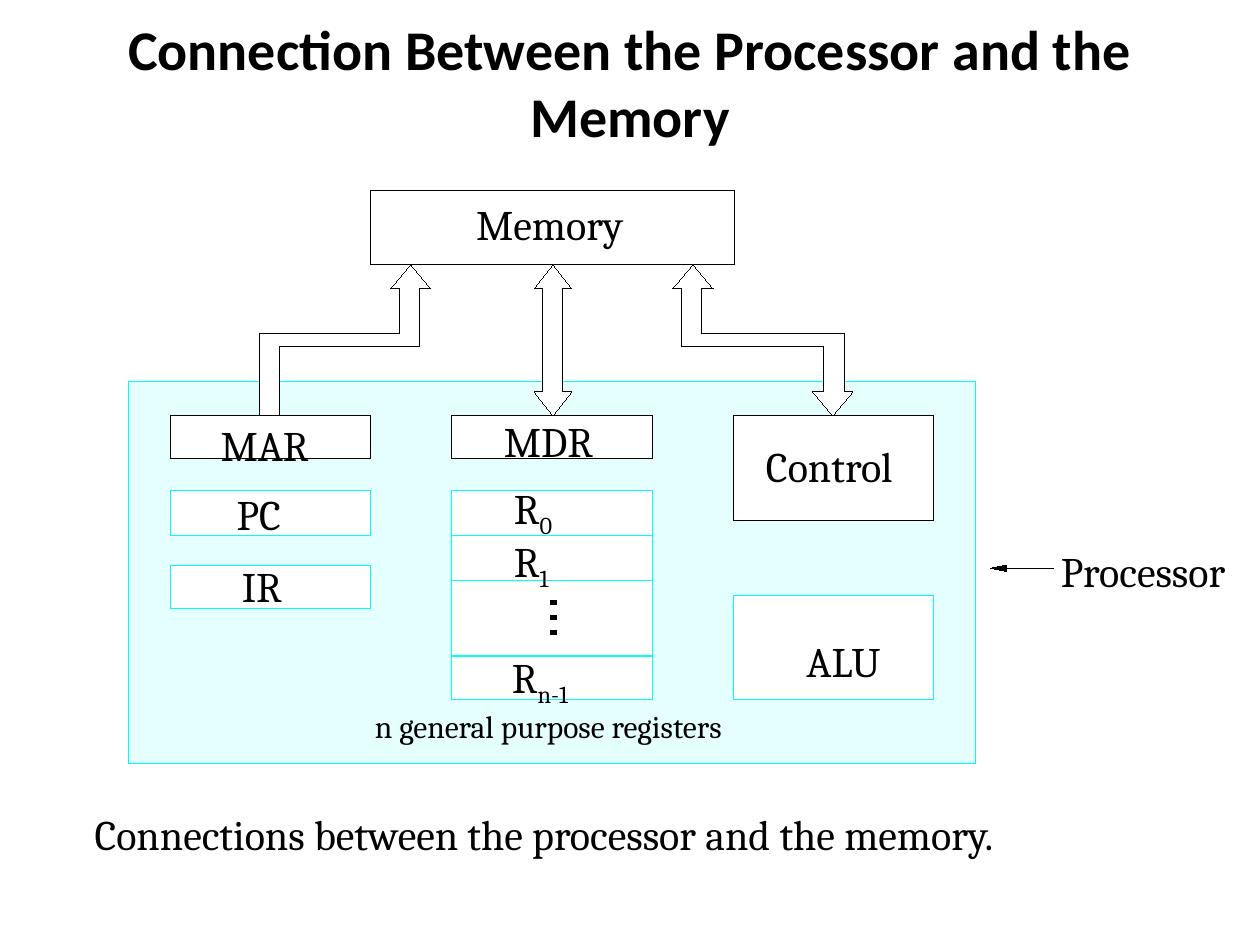
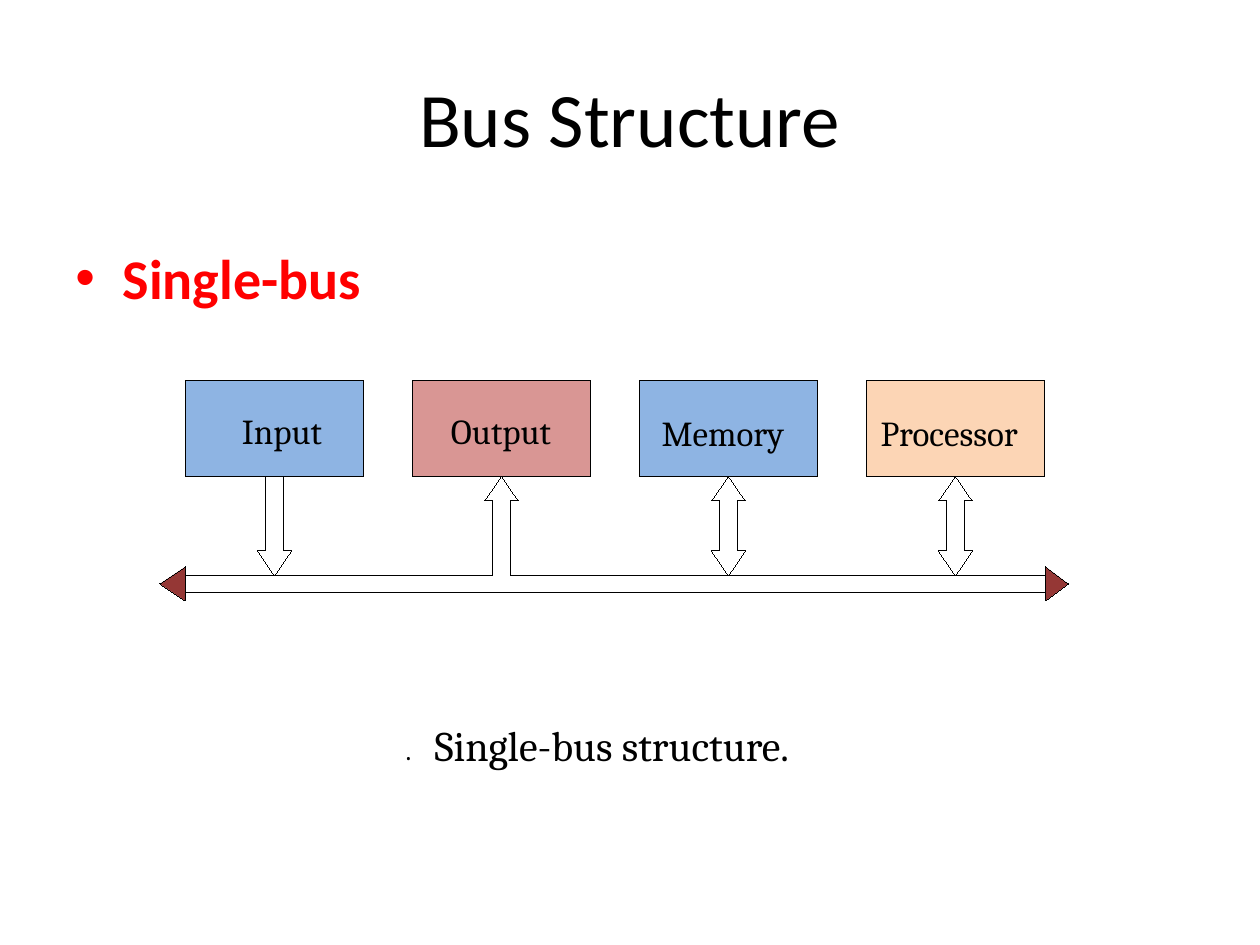
from lxml import etree
from pptx import Presentation
from pptx.dml.color import RGBColor
from pptx.enum.shapes import MSO_CONNECTOR, MSO_SHAPE as Preset
from pptx.enum.text import MSO_ANCHOR, MSO_AUTO_SIZE as AutoSize, PP_ALIGN
from pptx.oxml.ns import qn
from pptx.util import Pt

BLACK = RGBColor(0x00, 0x00, 0x00)
WHITE = RGBColor(0xFF, 0xFF, 0xFF)
CYAN = RGBColor(0x00, 0xFF, 0xFF)
PALE_CYAN = RGBColor(0xE5, 0xFF, 0xFF)
RED = RGBColor(0xFF, 0x00, 0x00)
BLUE = RGBColor(0x8E, 0xB4, 0xE3)
ROSE = RGBColor(0xD9, 0x96, 0x94)
PEACH = RGBColor(0xFC, 0xD5, 0xB5)
MAROON = RGBColor(0x95, 0x37, 0x35)

TITLE_FONT = "Calibri"
LABEL_FONT = "Cambria"
HAIRLINE = Pt(0.01)


def format_font(font, name, size, color=BLACK, bold=False):
    font.name, font.size, font.bold = name, Pt(size), bold
    font.color.rgb = color


def add_title_slide(presentation, title, height, size, bold=False):
    slide = presentation.slides.add_slide(presentation.slide_layouts[5])
    shape = slide.shapes.title
    shape.left, shape.top, shape.width, shape.height = Pt(36), Pt(21.6), Pt(648), Pt(height)
    frame = shape.text_frame
    frame.text = title
    frame.auto_size = AutoSize.NONE
    frame.vertical_anchor = MSO_ANCHOR.MIDDLE
    paragraph = frame.paragraphs[0]
    paragraph.alignment = PP_ALIGN.CENTER
    format_font(paragraph.runs[0].font, TITLE_FONT, size, bold=bold)
    return slide


class Region:
    """Places parts on a slide relative to a left and top corner, in points."""

    def __init__(self, slide, left, top):
        self.shapes, self.left, self.top = slide.shapes, left, top

    def at(self, x, y):
        return Pt(self.left + x), Pt(self.top + y)

    def paint(self, shape, fill, line):
        shape.shadow.inherit = False
        shape.fill.solid()
        shape.fill.fore_color.rgb = fill
        shape.line.color.rgb = line
        shape.line.width = HAIRLINE

    def box(self, x, y, width, height, fill=WHITE, line=BLACK):
        shape = self.shapes.add_shape(Preset.RECTANGLE, *self.at(x, y), Pt(width), Pt(height))
        self.paint(shape, fill, line)

    def outline(self, points, fill=WHITE, close=True):
        first, *others = [self.at(x, y) for x, y in points]
        builder = self.shapes.build_freeform(*first)
        builder.add_line_segments(others, close=close)
        self.paint(builder.convert_to_shape(), fill, BLACK)

    def block_arrow(self, center, top, bottom, width, shaft, head, up=True, down=True):
        """Draws a vertical arrow; without a head at the bottom it stays open there."""
        half_width, half_shaft = width / 2, shaft / 2
        right_side = [(half_shaft, top)]
        if up:
            right_side = [(0, top), (half_width, top + head), (half_shaft, top + head)]
        if down:
            right_side += [(half_shaft, bottom - head), (half_width, bottom - head), (0, bottom)]
        else:
            right_side.append((half_shaft, bottom))
        left_side = [(-x, y) for x, y in reversed(right_side)]
        self.outline([(center + x, y) for x, y in left_side + right_side], close=down)

    def line(self, x1, y1, x2, y2):
        connector = self.shapes.add_connector(
            MSO_CONNECTOR.STRAIGHT, *self.at(x1, y1), *self.at(x2, y2))
        connector.line.color.rgb = BLACK
        connector.line.width = HAIRLINE
        etree.SubElement(connector.element.spPr, qn("a:effectLst"))

    def label(self, text, x, y, width, size=24, subscript=""):
        shape = self.shapes.add_textbox(*self.at(x, y), Pt(width), Pt(size * 1.2))
        frame = shape.text_frame
        frame.margin_left = frame.margin_right = frame.margin_top = frame.margin_bottom = 0
        frame.word_wrap = False
        frame.auto_size = AutoSize.SHAPE_TO_FIT_TEXT
        paragraph = frame.paragraphs[0]
        paragraph.text = text
        if subscript:
            paragraph.add_run().text = subscript
        for run in paragraph.runs:
            format_font(run.font, LABEL_FONT, size)
        if subscript:
            list(shape.element.iter(qn("a:rPr")))[-1].set("baseline", "-25000")


def draw_processor_panel(region):
    region.box(0, 109.4, 483.8, 218.2, PALE_CYAN, CYAN)
    column_width = 114.5
    left, middle, right = (23.8 + 161 * column for column in range(3))
    for x, y, height, line in (
        (left, 128.9, 24.5, BLACK),
        (left, 171.4, 25.9, CYAN),
        (left, 214.6, 24.5, CYAN),
        (middle, 128.9, 24.5, BLACK),
        (middle, 171.4, 25.9, CYAN),
        (middle, 197.3, 25.9, CYAN),
        (middle, 223.2, 42.5, CYAN),
        (middle, 266.4, 24.5, CYAN),
        (right, 128.9, 59.8, BLACK),
        (right, 231.8, 59, CYAN),
    ):
        region.box(x, y, column_width, height, line=line)
    for dot in range(3):
        region.box(241.2, 234.4 + 8.64 * dot, 3.6, 2.4, BLACK, BLACK)

    for text, x, y, width in (
        ("MAR", 52.6, 131, 54),
        ("PC", 61.9, 170.6, 33.8),
        ("IR", 64.8, 211.7, 24.5),
        ("MDR", 214.6, 128.9, 55.4),
        ("Control", 364.3, 143.3, 78.5),
        ("ALU", 387.4, 254.2, 47.5),
    ):
        region.label(text, x, y, width)
    for index, x, y, width in (
        ("0", 220.3, 167, 26.6),
        ("1", 220.3, 197.3, 26.6),
        ("n-1", 219.1, 263.5, 35),
    ):
        region.label("R", x, y, width, subscript=index)
    region.label("n general purpose registers", 140.8, 295.2, 222, 18)


def draw_memory_links(region):
    region.box(138.2, 0, 208.1, 42.5)
    region.label("Memory", 198.7, 5, 87.8)
    tip_up, neck_up, bend_top, bend_bottom, neck_down, tip_down = (
        42.5, 56.2, 82.1, 89.3, 115.2, 128.9)
    region.outline([
        (86.4, tip_down), (86.4, bend_bottom), (166.3, bend_bottom), (166.3, neck_up),
        (172.8, neck_up), (161.3, tip_up), (149.8, neck_up), (154.8, neck_up),
        (154.8, bend_top), (74.9, bend_top), (74.9, tip_down),
    ])
    region.block_arrow(242.6, tip_up, tip_down, 21.6, 11.5, 13.7)
    region.outline([
        (322.6, tip_up), (334.1, neck_up), (327.6, neck_up), (327.6, bend_top),
        (409, bend_top), (409, neck_down), (414, neck_down), (402.5, tip_down),
        (391, neck_down), (397.4, neck_down), (397.4, bend_bottom), (316.1, bend_bottom),
        (316.1, neck_up), (311, neck_up),
    ])


def draw_processor_pointer(region):
    y = 216
    region.line(501.8, y, 528.5, y)
    region.outline([(492.5, y), (501.8, y - 1.8), (501.8, y + 1.8)], BLACK)
    region.label("Processor", 532.8, 203, 109.4)


def build_memory_slide(presentation):
    slide = add_title_slide(
        presentation, "Connection Between the Processor and the Memory", 50.4, 32, bold=True)
    region = Region(slide, 73.4, 108.7)
    draw_processor_panel(region)
    draw_memory_links(region)
    draw_processor_pointer(region)
    Region(slide, 54, 462.2).label("Connections between the processor and the memory.", 0, 0, 580)


def add_bullet(slide, text, left, top, width, height):
    shape = slide.shapes.add_textbox(Pt(left), Pt(top), Pt(width), Pt(height))
    shape.text_frame.word_wrap = True
    paragraph = shape.text_frame.paragraphs[0]
    paragraph.text = text
    format_font(paragraph.runs[0].font, TITLE_FONT, 32, RED, bold=True)
    properties = shape.element.find(".//" + qn("a:p")).get_or_add_pPr()
    properties.set("marL", str(Pt(27)))
    properties.set("indent", str(Pt(-27)))
    etree.SubElement(properties, qn("a:buFont"), typeface="Arial")
    etree.SubElement(properties, qn("a:buChar"), char="•")


def draw_bus(region):
    """Draws the four units, the bus below them and the arrows between."""
    unit_width, unit_height, pitch, first = 102.2, 54.7, 129.7, 14.4
    bus_left, bus_right, bus_top, bus_bottom = 14.4, 506.2, 111.6, 121
    arrow_width, shaft, head = 19.4, 9.9, 14.2

    for index, (text, fill, x, y, width, up, down) in enumerate((
        ("Input", BLUE, 46.8, 16.6, 50, False, True),
        ("Output", ROSE, 166.3, 16.6, 60.5, True, False),
        ("Memory", BLUE, 286.6, 18, 72.7, True, True),
        ("Processor", PEACH, 411.8, 18, 90.7, True, True),
    )):
        left = first + pitch * index
        region.box(left, 0, unit_width, unit_height, fill)
        region.label(text, x, y, width, 20)
        region.block_arrow(left + unit_width / 2, unit_height, bus_top,
                           arrow_width, shaft, head, up, down)

    output_center = first + pitch + unit_width / 2
    region.line(bus_left, bus_bottom, bus_right, bus_bottom)
    region.line(bus_left, bus_top, output_center - shaft / 2, bus_top)
    region.line(output_center + shaft / 2, bus_top, bus_right, bus_top)
    for end, tip in ((bus_left, 0), (bus_right, 519.1)):
        region.outline([(end, 106.6), (tip, 116.3), (end, 126)], MAROON)


def build_bus_slide(presentation):
    slide = add_title_slide(presentation, "Bus Structure", 90, 44)
    add_bullet(slide, "Single-bus", 36, 135.4, 648, 44.6)
    draw_bus(Region(slide, 91.4, 217.4))
    caption = Region(slide, 231.8, 411.1)
    caption.label(".", 0, 7.6, 5, 16)
    caption.label("Single-bus structure.", 16.6, 0, 210)


def main():
    presentation = Presentation()
    presentation.slide_width, presentation.slide_height = Pt(720), Pt(540)
    build_memory_slide(presentation)
    build_bus_slide(presentation)
    presentation.save("out.pptx")


if __name__ == "__main__":
    main()
